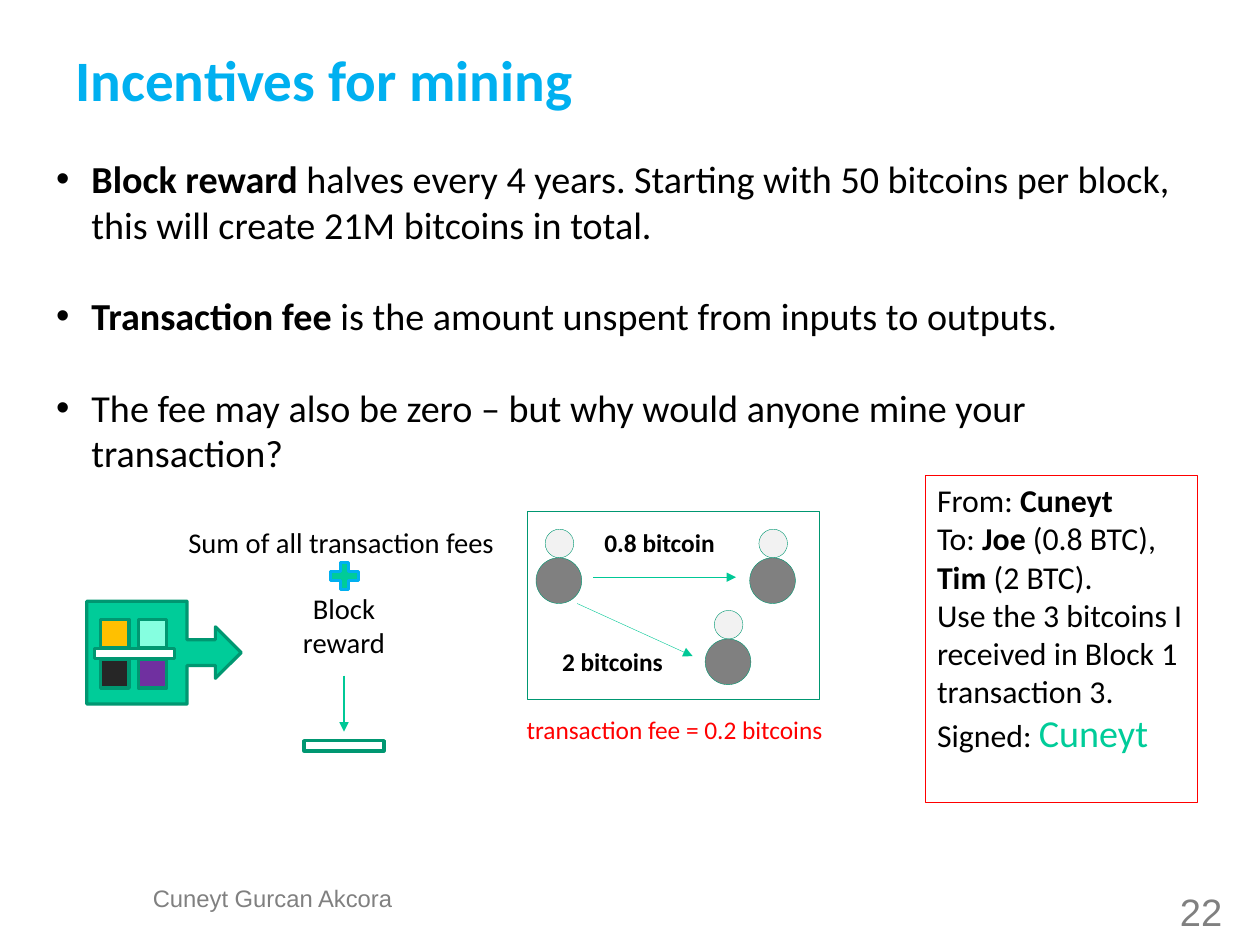
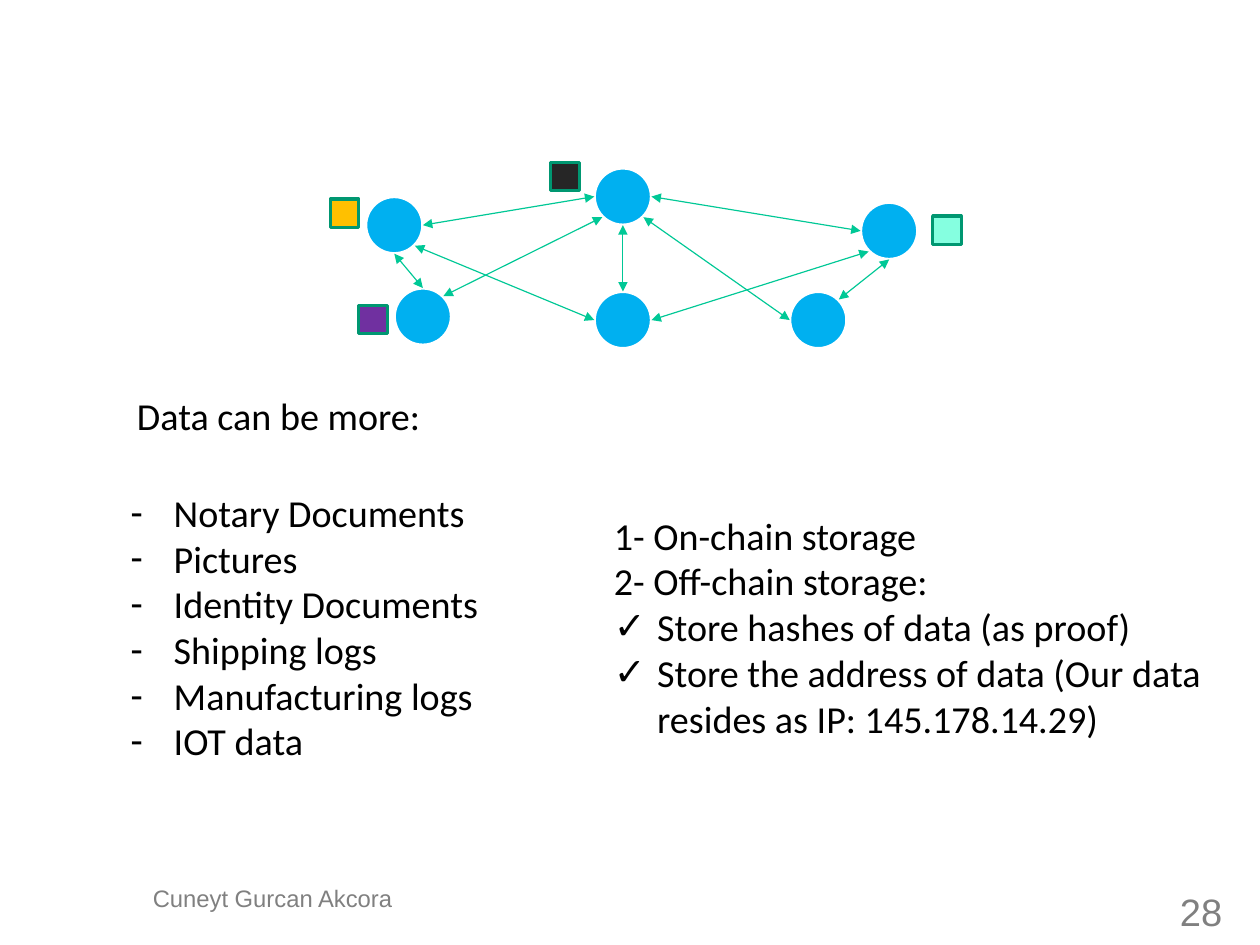
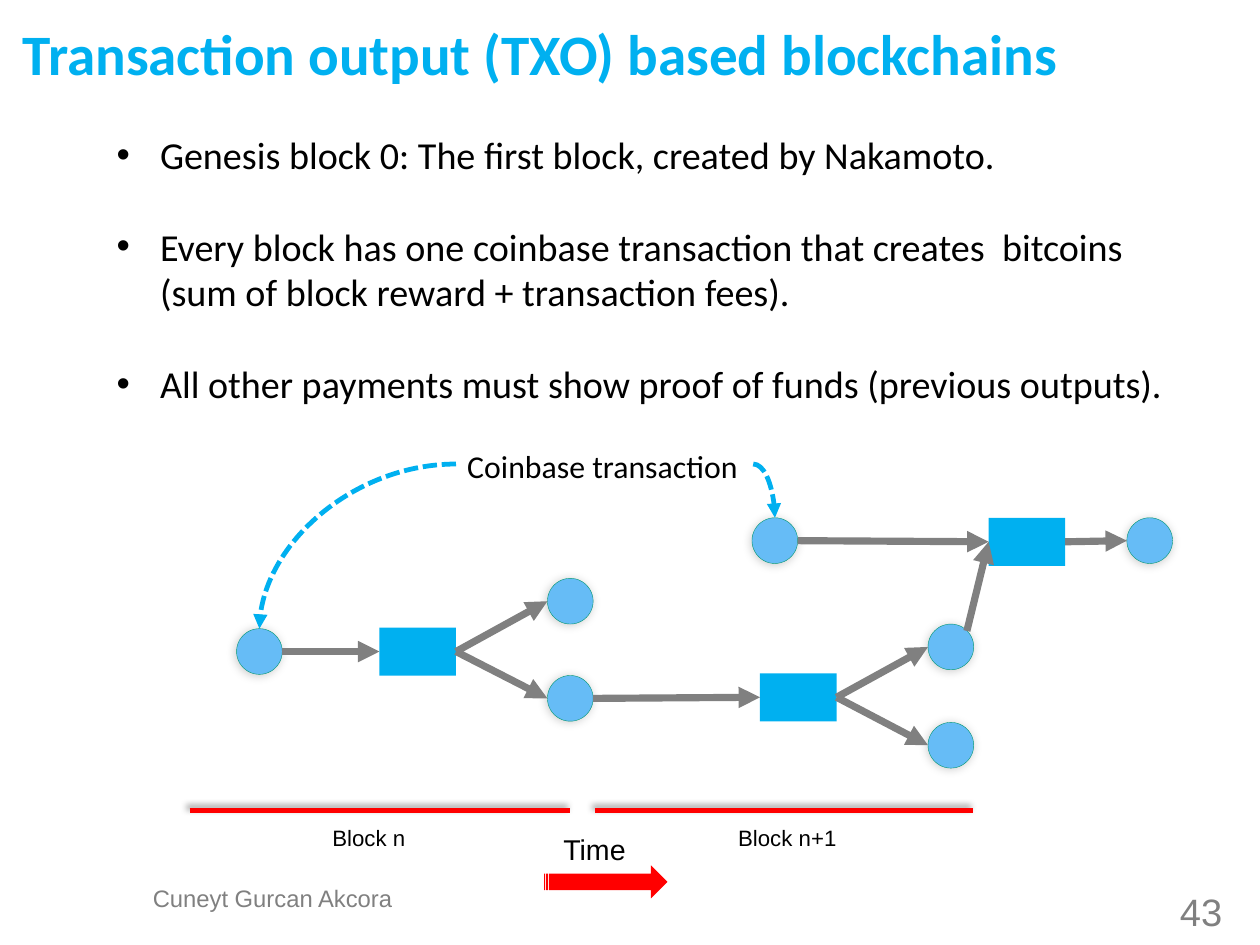
from dataclasses import dataclass

from lxml import etree
from pptx import Presentation
from pptx.dml.color import RGBColor
from pptx.enum.dml import MSO_LINE
from pptx.enum.shapes import MSO_CONNECTOR, MSO_SHAPE
from pptx.enum.text import MSO_ANCHOR, MSO_AUTO_SIZE, PP_ALIGN
from pptx.oxml.ns import qn
from pptx.util import Pt

PX = 9144
PAGE_WIDTH_EMU, PAGE_HEIGHT_EMU = 10080625, 7559675
TITLE_AND_CONTENT, TWO_CONTENT = 1, 3

RECT, OVAL = MSO_SHAPE.RECTANGLE, MSO_SHAPE.OVAL
CALLOUT, PLUS = MSO_SHAPE.RIGHT_ARROW_CALLOUT, MSO_SHAPE.MATH_PLUS
STRIPED_ARROW = MSO_SHAPE.STRIPED_RIGHT_ARROW
STRAIGHT, CURVE = MSO_CONNECTOR.STRAIGHT, MSO_CONNECTOR.CURVE
LEFT, CENTER = PP_ALIGN.LEFT, PP_ALIGN.CENTER
TOP, MIDDLE = MSO_ANCHOR.TOP, MSO_ANCHOR.MIDDLE
NO_FIT, DASHED = MSO_AUTO_SIZE.NONE, MSO_LINE.SQUARE_DOT
SIDE_LEFT, SIDE_RIGHT = 1, 3

BLACK, WHITE, RED, GREY = "000000", "FFFFFF", "FF0000", "808080"
BLUE, GREEN, DARK_GREEN, LINK_GREEN = "00B0F0", "00CC99", "009771", "00C896"
HEAD_GREY, COIN_BLUE = "F2F2F2", "66BCF6"
AMBER, MINT, CHARCOAL, PURPLE = "FFC000", "85FFE0", "262626", "7030A0"

BODY_SIZE = 24
ITEM_GAP = 28.8
FOOTER_SPACING = 0.93
DIRECTIONS = {
    "N": (0, -1), "S": (0, 1), "W": (-1, 0), "E": (1, 0),
    "NE": (0.71, -0.71), "SE": (0.71, 0.71), "SW": (-0.71, 0.71),
}


@dataclass(frozen=True)
class Box:
    """Hold a rectangle in px."""
    left: int
    top: int
    width: int
    height: int

    def emu(self) -> tuple[int, ...]:
        """Return the four lengths in EMU."""
        return tuple(n * PX for n in (self.left, self.top, self.width, self.height))

    def site(self, direction: str) -> tuple[int, int]:
        """Return the point of the inscribed ellipse in a direction."""
        dx, dy = DIRECTIONS[direction]
        return (round(self.left + self.width * (1 + dx) / 2),
                round(self.top + self.height * (1 + dy) / 2))


@dataclass(frozen=True)
class Span:
    """Describe one run of text."""
    text: str
    size: int = BODY_SIZE
    bold: bool = False
    colour: str = BLACK
    font: str = "Calibri"


@dataclass(frozen=True)
class Para:
    """Describe one paragraph of runs."""
    spans: tuple[Span, ...]
    bullet: str = ""
    indent: int = 0
    gap: float = 0


@dataclass(frozen=True)
class Shadow:
    """Describe an outer shadow: opacity in percent, points and degrees."""
    opacity: int
    blur: int
    distance: int
    angle: int


COIN_SHADOW = Shadow(20, 6, 1, 135)
BLOCK_SHADOW = Shadow(40, 4, 3, 225)


def rgb(colour: str) -> RGBColor:
    """Turn a hex string into a colour."""
    return RGBColor.from_string(colour)


def line_of(text: str, size: int = BODY_SIZE, **style) -> Para:
    """Make a paragraph of a single run."""
    return Para((Span(text, size, **style),))


def item(*spans: Span, bullet: str = "•", indent: int = 38, gap: float = 0) -> Para:
    """Make a list item with a hanging bullet."""
    return Para(spans, bullet, indent, gap)


def write(frame, paras: list[Para], align=LEFT, anchor=TOP, is_list: bool = False) -> None:
    """Fill a text frame run by run."""
    frame.word_wrap = True
    frame.auto_size = NO_FIT
    frame.vertical_anchor = anchor
    for index, content in enumerate(paras):
        para = frame.paragraphs[0] if index == 0 else frame.add_paragraph()
        para.alignment = align
        para.space_before = Pt(0)
        para.space_after = Pt(content.gap)
        if is_list:
            set_bullet(para, content)
        for span in content.spans:
            run = para.add_run()
            run.text = span.text
            run.font.name = span.font
            run.font.size = Pt(span.size)
            run.font.bold = span.bold
            run.font.color.rgb = rgb(span.colour)


def set_bullet(para, content: Para) -> None:
    """Set the hanging indent and bullet of a list paragraph."""
    props = para._p.get_or_add_pPr()
    props.set("marL", str(content.indent * PX))
    props.set("indent", str(-content.indent * PX))
    if content.bullet:
        etree.SubElement(props, qn("a:buChar")).set("char", content.bullet)
    else:
        etree.SubElement(props, qn("a:buNone"))


def place(holder, box: Box) -> None:
    """Move a placeholder to a box."""
    holder.left, holder.top, holder.width, holder.height = box.emu()


def add_text(page, box: Box, paras: list[Para], align=LEFT):
    """Add a text box."""
    label = page.shapes.add_textbox(*box.emu())
    write(label.text_frame, paras, align)
    return label


def add_title(page, box: Box, text: str, anchor=MIDDLE, inset: int = 10) -> None:
    """Place and fill the title placeholder."""
    title = page.shapes.title
    place(title, box)
    frame = title.text_frame
    frame.margin_left = frame.margin_right = inset * PX
    frame.margin_top = frame.margin_bottom = inset // 2 * PX
    write(frame, [line_of(text, 36, bold=True, colour=BLUE)], anchor=anchor)


def add_list(page, index: int, box: Box, paras: list[Para]) -> None:
    """Place and fill a body placeholder."""
    body = page.placeholders[index]
    place(body, box)
    write(body.text_frame, paras, is_list=True)


def add_footer(page, number: int) -> None:
    """Add the author and the page number."""
    marks = ((Box(130, 775, 217, 37), "Cuneyt Gurcan Akcora", 15),
             (Box(1001, 781, 100, 40), str(number), 24))
    for box, text, size in marks:
        label = add_text(page, box, [line_of(text, size, colour=GREY, font="Arial")], CENTER)
        frame = label.text_frame
        frame.margin_left = frame.margin_right = frame.margin_top = frame.margin_bottom = 0
        frame.paragraphs[0].line_spacing = FOOTER_SPACING


def add_shadow(effects, shadow: Shadow) -> None:
    """Put an outer shadow into an effect list."""
    outer = etree.SubElement(effects, qn("a:outerShdw"))
    outer.set("blurRad", str(Pt(shadow.blur)))
    outer.set("dist", str(Pt(shadow.distance)))
    outer.set("dir", str(shadow.angle * 60000))
    outer.set("rotWithShape", "0")
    colour = etree.SubElement(outer, qn("a:srgbClr"))
    colour.set("val", BLACK)
    etree.SubElement(colour, qn("a:alpha")).set("val", str(shadow.opacity * 1000))


def add_shape(page, kind, box: Box, fill: str = "", line: str = "",
              width: float = 0.25, shadow: Shadow | None = None):
    """Add a preset shape with its own fill, line and shadow."""
    shape = page.shapes.add_shape(kind, *box.emu())
    shape.shadow.inherit = False
    if fill:
        shape.fill.solid()
        shape.fill.fore_color.rgb = rgb(fill)
    else:
        shape.fill.background()
    if line:
        shape.line.color.rgb = rgb(line)
        shape.line.width = Pt(width)
    else:
        shape.line.fill.background()
    if shadow:
        add_shadow(shape._element.spPr.find(qn("a:effectLst")), shadow)
    return shape


def add_line(page, start: tuple[int, int], end: tuple[int, int], colour: str, width: float,
             ends: tuple[str, ...] = ("tailEnd",), kind=STRAIGHT, dashed: bool = False,
             shadow: Shadow | None = None):
    """Add a connector with arrowheads at the named ends."""
    link = page.shapes.add_connector(kind, *(n * PX for n in start + end))
    link.line.color.rgb = rgb(colour)
    link.line.width = Pt(width)
    if dashed:
        link.line.dash_style = DASHED
    props = link._element.spPr
    for name in ends:
        etree.SubElement(props.find(qn("a:ln")), qn(f"a:{name}")).set("type", "triangle")
    effects = etree.SubElement(props, qn("a:effectLst"))
    if shadow:
        add_shadow(effects, shadow)
    return link


def add_arc(page, start: tuple[int, int], end: tuple[int, int]) -> None:
    """Add a dashed quarter curve with an arrowhead."""
    arc = add_line(page, start, end, BLUE, 3, kind=CURVE, dashed=True)
    arc._element.spPr.find(qn("a:prstGeom")).set("prst", "curvedConnector2")


def add_data(page, left: int, top: int, colour: str) -> None:
    """Add a small data square."""
    add_shape(page, RECT, Box(left, top, 25, 25), colour, DARK_GREEN, 2)


def add_user(page, left: int, top: int) -> None:
    """Add a user made of a head and a body."""
    add_shape(page, OVAL, Box(left + 8, top - 25, 25, 25), HEAD_GREY, DARK_GREEN)
    add_shape(page, OVAL, Box(left, top, 40, 40), GREY, DARK_GREEN)


def build_incentives(deck) -> None:
    """Build the page on mining incentives."""
    page = deck.slides.add_slide(deck.slide_layouts[TITLE_AND_CONTENT])
    add_title(page, Box(56, 0, 992, 138), "Incentives for mining")
    bullets = (
        (Span("Block reward ", bold=True),
         Span("halves every 4 years. Starting with 50 bitcoins per block, "
              "this will create 21M bitcoins in total.")),
        (Span("Transaction fee ", bold=True),
         Span("is the amount unspent from inputs to outputs.")),
        (Span("The fee may also be zero – but why would anyone mine your transaction?"),),
    )
    add_list(page, 1, Box(39, 131, 1038, 293),
             [item(*spans, indent=31, gap=ITEM_GAP) for spans in bullets])

    message = add_text(page, Box(810, 416, 238, 286), [
        Para((Span("From: ", 20), Span("Cuneyt", 20, True))),
        Para((Span("To: ", 20), Span("Joe", 20, True), Span(" (0.8 BTC), ", 20),
              Span("Tim", 20, True), Span(" (2 BTC).", 20))),
        line_of("Use the 3 bitcoins I received in Block 1 transaction 3.", 20),
        Para((Span("Signed: ", 20), Span("Cuneyt", colour=GREEN))),
    ])
    message.line.color.rgb = rgb(RED)
    message.line.width = Pt(0.75)

    add_shape(page, RECT, Box(461, 447, 256, 165), line=DARK_GREEN)
    for left, top in ((469, 488), (656, 488), (617, 559)):
        add_user(page, left, top)
    for start, end in (((519, 505), (644, 505)), ((505, 528), (606, 574))):
        add_line(page, start, end, LINK_GREEN, 0.25)
    add_text(page, Box(519, 456, 126, 37), [line_of("0.8 bitcoin", 16, bold=True)])
    add_text(page, Box(482, 560, 115, 37), [line_of("2 bitcoins", 16, bold=True)])
    add_text(page, Box(451, 620, 283, 37),
             [line_of("transaction fee = 0.2 bitcoins", 16, colour=RED)])

    add_shape(page, CALLOUT, Box(76, 526, 135, 90), GREEN, DARK_GREEN, 2)
    for index, colour in enumerate((AMBER, MINT, CHARCOAL, PURPLE)):
        add_data(page, 88 + index % 2 * 33, 542 + index // 2 * 35, colour)
    for left, top in ((83, 567), (266, 648)):
        add_shape(page, RECT, Box(left, top, 70, 9), WHITE, DARK_GREEN, 2)
    add_line(page, (301, 591), (301, 640), LINK_GREEN, 1.25)
    add_text(page, Box(246, 512, 110, 71), [line_of("Block reward", 18)], CENTER)
    add_text(page, Box(146, 454, 305, 40),
             [line_of("Sum of all transaction fees", 18)], CENTER)
    add_shape(page, PLUS, Box(285, 488, 33, 32), GREEN, BLUE, 2)
    add_footer(page, 22)


def build_storage(deck) -> None:
    """Build the page on data stored by the network."""
    page = deck.slides.add_slide(deck.slide_layouts[TWO_CONTENT])
    title = page.shapes.title._element
    title.getparent().remove(title)
    places = {"west": (320, 172), "top": (520, 147), "east": (753, 177),
              "lower west": (345, 252), "bottom": (520, 255), "lower east": (691, 255)}
    nodes = {name: Box(*corner, 50, 50) for name, corner in places.items()}
    for node in nodes.values():
        add_shape(page, OVAL, node, BLUE, WHITE, 2)
    links = (
        ("west", "SE", "bottom", "W"), ("west", "E", "top", "W"),
        ("top", "E", "east", "W"), ("bottom", "E", "east", "SW"),
        ("bottom", "N", "top", "S"), ("lower west", "N", "west", "S"),
        ("lower west", "NE", "top", "SW"), ("lower east", "NE", "east", "S"),
        ("top", "SE", "lower east", "W"),
    )
    for first, leaving, second, entering in links:
        add_line(page, nodes[first].site(leaving), nodes[second].site(entering),
                 LINK_GREEN, 0.75, ("headEnd", "tailEnd"))
    for left, top, colour in ((289, 174, AMBER), (816, 189, MINT),
                              (482, 142, CHARCOAL), (314, 267, PURPLE)):
        add_data(page, left, top, colour)

    add_text(page, Box(110, 338, 289, 50), [line_of("Data can be more:")])
    kinds = ("Notary Documents", "Pictures", "Identity Documents",
             "Shipping logs", "Manufacturing logs", "IOT data")
    add_list(page, 1, Box(104, 423, 350, 252),
             [item(Span(kind), bullet="-") for kind in kinds])
    checks = ("Store hashes of data (as proof)",
              "Store the address of data (Our data resides as IP: 145.178.14.29)")
    add_list(page, 2, Box(527, 443, 535, 212),
             [line_of("1- On-chain storage"), line_of("2- Off-chain storage:")]
             + [item(Span(check), bullet="✓") for check in checks])
    add_footer(page, 28)


def build_outputs(deck) -> None:
    """Build the page on transaction outputs."""
    page = deck.slides.add_slide(deck.slide_layouts[TITLE_AND_CONTENT])
    add_title(page, Box(20, 16, 992, 60), "Transaction output (TXO) based blockchains", TOP, 0)
    bullets = (
        "Genesis block 0: The first block, created by Nakamoto.",
        "Every block has one coinbase transaction that creates  bitcoins "
        "(sum of block reward + transaction fees).",
        "All other payments must show proof of funds (previous outputs).",
    )
    add_list(page, 1, Box(92, 110, 975, 293),
             [item(Span(text), gap=ITEM_GAP) for text in bullets])

    corners = ((207, 550), (479, 506), (479, 591), (812, 546), (812, 632),
               (658, 453), (986, 453))
    coins = [Box(left, top, 40, 40) for left, top in corners]
    for coin in coins:
        add_shape(page, OVAL, coin, COIN_BLUE, DARK_GREEN, shadow=COIN_SHADOW)
    payments = [add_shape(page, RECT, Box(left, top, 67, 42), BLUE)
                for left, top in ((332, 549), (665, 589), (865, 453))]
    for coin, side, payment in ((0, "E", 0), (2, "E", 1), (5, "E", 2), (3, "NE", 2)):
        point = coins[coin].site(side)
        link = add_line(page, point, point, GREY, 4.5)
        link.end_connect(payments[payment], SIDE_LEFT)
    for payment, coin in ((0, 1), (0, 2), (1, 3), (1, 4), (2, 6)):
        point = coins[coin].site("W")
        link = add_line(page, point, point, GREY, 4.5)
        link.begin_connect(payments[payment], SIDE_RIGHT)

    add_text(page, Box(399, 386, 260, 40), [line_of("Coinbase transaction", 20)])
    add_arc(page, (399, 406), coins[0].site("N"))
    add_arc(page, (659, 406), coins[5].site("N"))

    for start, end in ((166, 499), (521, 851)):
        add_line(page, (start, 709), (end, 709), RED, 3, (), shadow=BLOCK_SHADOW)
    for box, text, size in ((Box(281, 716, 100, 34), "Block n", 14),
                            (Box(636, 716, 110, 34), "Block n+1", 14),
                            (Box(483, 723, 95, 40), "Time", 18)):
        add_text(page, box, [line_of(text, size, font="Arial")])
    add_shape(page, STRIPED_ARROW, Box(476, 757, 108, 29), RED)
    add_footer(page, 43)


def main() -> None:
    """Build and save the deck."""
    deck = Presentation()
    deck.slide_width, deck.slide_height = PAGE_WIDTH_EMU, PAGE_HEIGHT_EMU
    build_incentives(deck)
    build_storage(deck)
    build_outputs(deck)
    deck.save("out.pptx")


if __name__ == "__main__":
    main()
